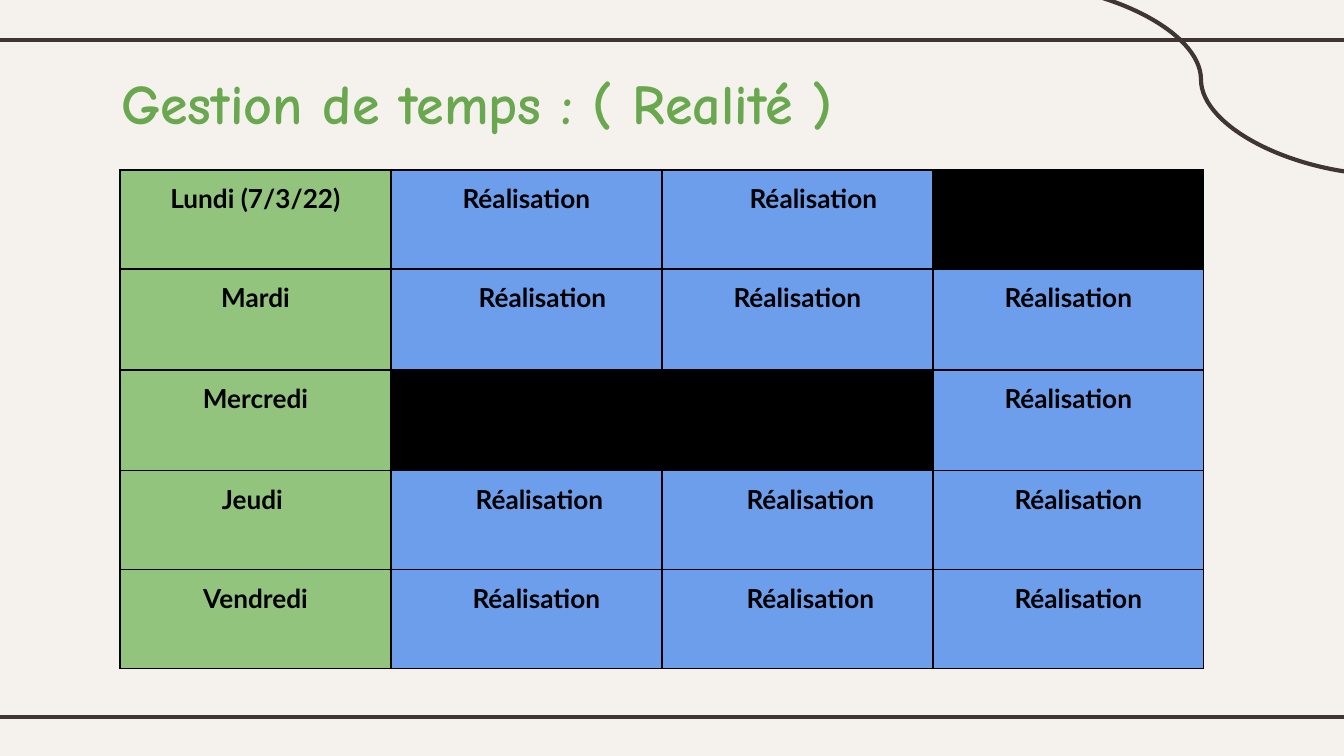
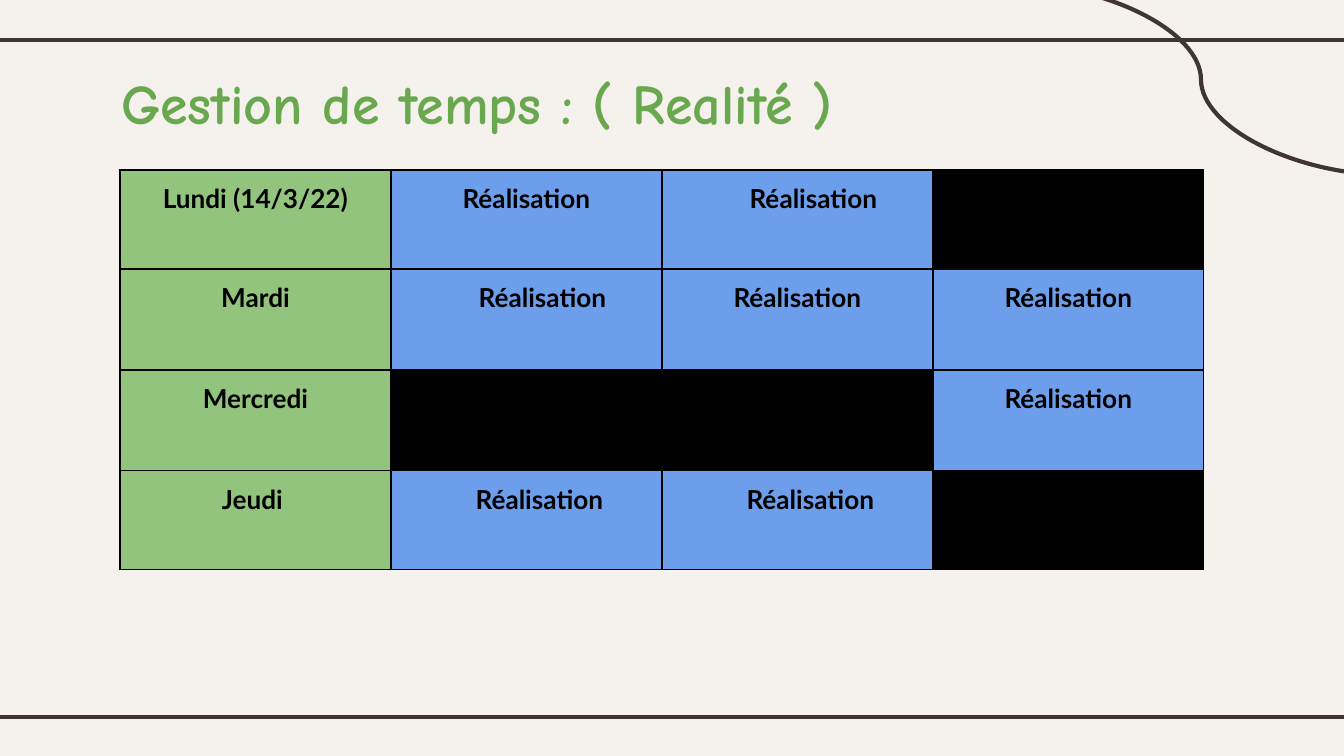
"""Build two weekly schedule slides with a shared frame and title."""
from dataclasses import dataclass

import pptx
import pptx.dml.color
import pptx.enum.shapes
import pptx.enum.text
import pptx.oxml.xmlchemy
import pptx.oxml
import pptx.oxml.ns
import pptx.presentation
import pptx.slide
import pptx.table
import pptx.util
from lxml import etree

EMU_PER_PX = 914400 / 134.4
PAPER, INK, TITLE_GREEN = "F5F2EE", "3F3533", "6AA84F"
DAY_GREEN, WORK_BLUE, BLACK = "93C47D", "6D9EEB", "000000"
TITLE_TEXT = "Gestion de temps : ( Realité )"
WORK_TEXT = "Réalisation"

STRAIGHT = pptx.enum.shapes.MSO_CONNECTOR.STRAIGHT
CURVE = pptx.enum.shapes.MSO_CONNECTOR.CURVE
TITLE_FONT = {"name": "Comic Neue", "size": pptx.util.Pt(30), "bold": True}
CELL_FONT = {"name": "Lato", "size": pptx.util.Pt(14), "bold": True}


@dataclass(frozen=True)
class FrameLine:
    kind: pptx.enum.shapes.MSO_CONNECTOR
    left: int
    top: int
    right: int
    bottom: int


@dataclass(frozen=True)
class Day:
    name: str
    height: int
    shifts: tuple[int | None, ...]


FRAME_LINES = (
    FrameLine(STRAIGHT, -11, 40, 1355, 40),
    FrameLine(STRAIGHT, -11, 717, 1355, 717),
    FrameLine(CURVE, 1012, -16, 1390, 175),
)
SHARED_DAYS = (
    Day("Mardi", 101, (16, 0, 0)),
    Day("Mercredi", 101, (None, None, 0)),
)
WEEKS = (
    (
        Day("Lundi (7/3/22)", 99, (0, 16, None)),
        *SHARED_DAYS,
        Day("Jeudi ", 99, (13, 13, 10)),
        Day("Vendredi", 99, (10, 13, 10)),
    ),
    (
        Day("Lundi (14/3/22)", 99, (0, 16, None)),
        *SHARED_DAYS,
        Day("Jeudi ", 99, (13, 13, None)),
    ),
)
TABLE_LEFT, TABLE_TOP, COLUMN_WIDTH, INSET = 120, 170, 271, 13


def px(length: int) -> pptx.util.Emu:
    """Turn pixels into EMU."""
    return pptx.util.Emu(round(length * EMU_PER_PX))


def color(value: str) -> pptx.dml.color.RGBColor:
    """Turn a hex string into a colour."""
    return pptx.dml.color.RGBColor.from_string(value)


def apply_format(target: object, values: dict[str, object]) -> None:
    """Set every attribute named in the format values."""
    for name, value in values.items():
        setattr(target, name, value)


def add_frame_line(slide: pptx.slide.Slide, line: FrameLine) -> None:
    """Draw one decorative line without a shadow."""
    connector = slide.shapes.add_connector(
        line.kind, px(line.left), px(line.top), px(line.right), px(line.bottom)
    )
    connector.line.color.rgb = color(INK)
    connector.line.width = pptx.util.Pt(2.25)
    etree.SubElement(connector._element.spPr, pptx.oxml.ns.qn("a:effectLst"))


def set_title(slide: pptx.slide.Slide) -> None:
    """Place and format the title placeholder."""
    title = slide.shapes.title
    apply_format(
        title, {"left": px(108), "top": px(56), "width": px(1046), "height": px(85)}
    )
    title.text = TITLE_TEXT
    apply_format(title.text_frame, {
        **{f"margin_{side}": px(INSET) for side in ("left", "top", "right", "bottom")},
        "vertical_anchor": pptx.enum.text.MSO_ANCHOR.TOP,
        "auto_size": pptx.enum.text.MSO_AUTO_SIZE.NONE,
        "word_wrap": True,
    })
    paragraph = title.text_frame.paragraphs[0]
    paragraph.alignment = pptx.enum.text.PP_ALIGN.LEFT
    apply_format(paragraph.runs[0].font, TITLE_FONT)
    paragraph.runs[0].font.color.rgb = color(TITLE_GREEN)


def add_borders(cell: pptx.table._Cell) -> None:
    """Give a cell thin black borders on all sides."""
    properties = cell._tc.get_or_add_tcPr()
    for position, side in enumerate(("lnL", "lnR", "lnT", "lnB")):
        border = pptx.oxml.parse_xml(
            f'<a:{side} {pptx.oxml.ns.nsdecls("a")} w="{pptx.util.Pt(0.75)}">'
            f'<a:solidFill><a:srgbClr val="{BLACK}"/></a:solidFill></a:{side}>'
        )
        properties.insert(position, border)


def fill_cell(cell: pptx.table._Cell, text: str, fill: str, shift: int = 0) -> None:
    """Fill a cell and centre its text, moved right by the shift."""
    cell.fill.solid()
    cell.fill.fore_color.rgb = color(fill)
    add_borders(cell)
    apply_format(cell, {
        "margin_left": px(INSET + 2 * shift),
        "margin_right": px(INSET),
        "margin_top": px(INSET),
        "margin_bottom": px(INSET),
    })
    paragraph = cell.text_frame.paragraphs[0]
    paragraph.alignment = pptx.enum.text.PP_ALIGN.CENTER
    if text:
        run = paragraph.add_run()
        run.text = text
        apply_format(run.font, CELL_FONT)
        run.font.color.rgb = color(BLACK)


def add_schedule(slide: pptx.slide.Slide, days: tuple[Day, ...]) -> None:
    """Draw the week as a table with one row per day."""
    column_count = 1 + len(days[0].shifts)
    table = slide.shapes.add_table(
        len(days), column_count, px(TABLE_LEFT), px(TABLE_TOP),
        px(column_count * COLUMN_WIDTH), px(sum(day.height for day in days)),
    ).table
    apply_format(table, {"first_row": False, "horz_banding": False})
    for column in table.columns:
        column.width = px(COLUMN_WIDTH)
    for row, day in enumerate(days):
        table.rows[row].height = px(day.height)
        fill_cell(table.cell(row, 0), day.name, DAY_GREEN)
        for column, shift in enumerate(day.shifts, start=1):
            cell = table.cell(row, column)
            if shift is None:
                fill_cell(cell, "", BLACK)
            else:
                fill_cell(cell, WORK_TEXT, WORK_BLUE, shift)


def add_week(
    presentation: pptx.presentation.Presentation, days: tuple[Day, ...]
) -> None:
    """Add one slide holding the frame, title and schedule."""
    slide = presentation.slides.add_slide(presentation.slide_layouts[5])
    for line in FRAME_LINES:
        add_frame_line(slide, line)
    set_title(slide)
    add_schedule(slide, days)


def main() -> None:
    """Build and save the presentation."""
    presentation = pptx.Presentation()
    apply_format(presentation, {"slide_width": px(1344), "slide_height": px(756)})
    background = presentation.slide_master.background.fill
    background.solid()
    background.fore_color.rgb = color(PAPER)
    for days in WEEKS:
        add_week(presentation, days)
    presentation.save("out.pptx")


if __name__ == "__main__":
    main()
